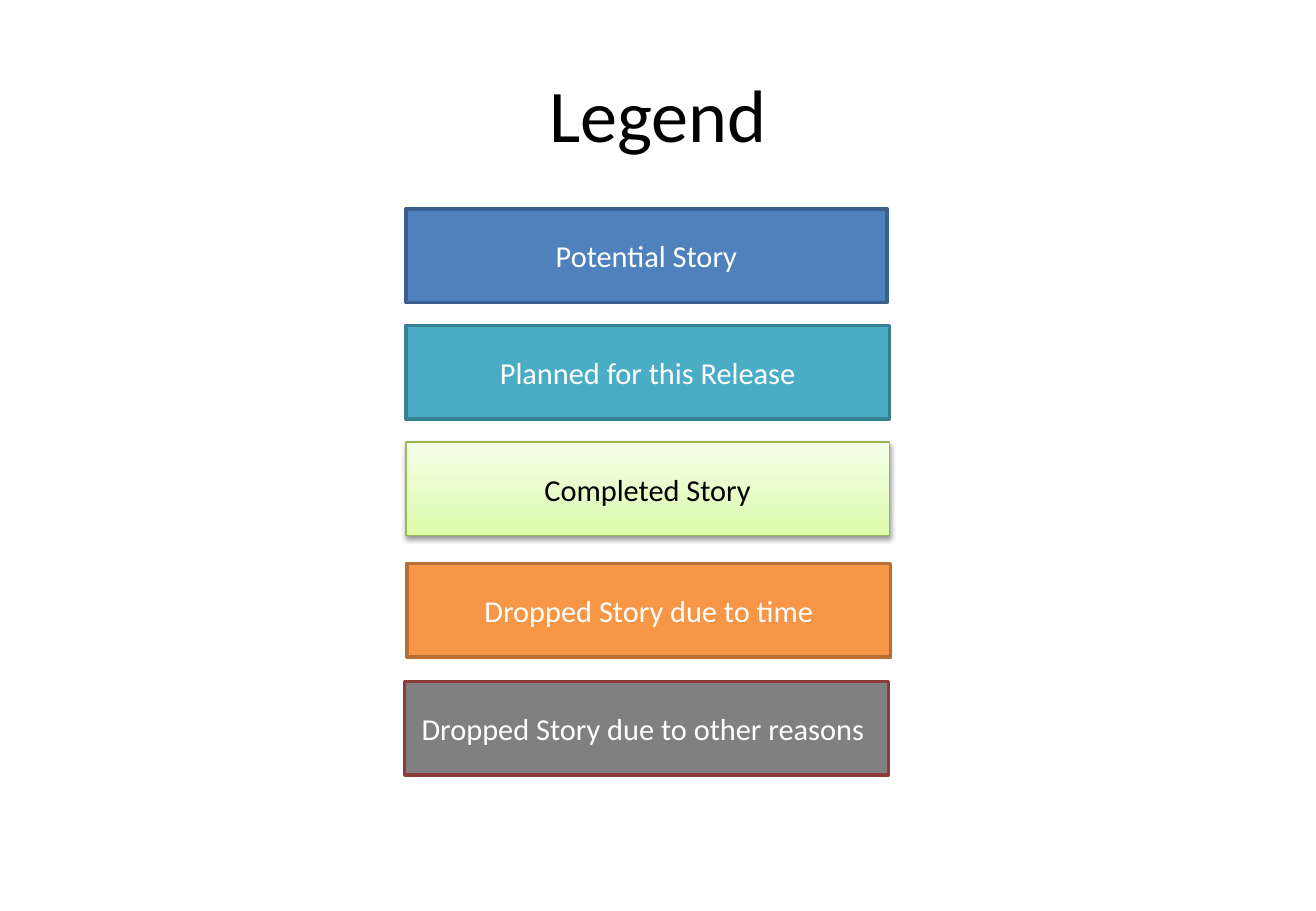
from copy import deepcopy

from lxml import etree
from pptx import Presentation
from pptx.dml.color import RGBColor
from pptx.enum.shapes import MSO_SHAPE
from pptx.enum.text import MSO_ANCHOR, PP_ALIGN
from pptx.oxml.ns import qn
from pptx.util import Inches, Pt

RECTANGLE = MSO_SHAPE.RECTANGLE
MIDDLE = MSO_ANCHOR.MIDDLE
CENTER = PP_ALIGN.CENTER

THEME = {
    "font": "Calibri",
    "title_size": 44,
    "story_size": 18,
    "dark": "000000",
    "light": "FFFFFF",
    "potential": ("4F81BD", "3A5F8C"),
    "planned": ("4BACC6", "377F92"),
    "completed": ([(0, "DAFDA7"), (0.35, "E4FCC2"), (1, "F5FFE7")], "98B955"),
    "dropped_time": ("F79646", "B76F34"),
    "dropped_other": ("808080", "8E3B39"),
    "line": 2,
    "thin_line": 0.75,
}


def write_text(box, text, size, color):
    frame = box.text_frame
    frame.word_wrap = True
    frame.vertical_anchor = MIDDLE
    frame.text = text
    para = frame.paragraphs[0]
    para.alignment = CENTER
    font = para.runs[0].font
    font.name = THEME["font"]
    font.size = Pt(size)
    font.color.rgb = RGBColor.from_string(color)


def add_gradient_and_shadow(box, colors):
    box.fill.gradient()
    box.fill.gradient_angle = 90
    stop_list = box.fill.gradient_stops
    first_stop = box._element.spPr.find(".//" + qn("a:gs"))
    first_stop.addnext(deepcopy(first_stop))
    stop_list = box.fill.gradient_stops
    for stop, (position, color) in zip(stop_list, colors):
        stop.position = position
        stop.color.rgb = RGBColor.from_string(color)
    effects = box._element.spPr.find(qn("a:effectLst"))
    shadow = etree.SubElement(
        effects, qn("a:outerShdw"), blurRad=str(Pt(3.1)), dist=str(Pt(1.6)),
        dir="5400000", rotWithShape="0")
    shade = etree.SubElement(shadow, qn("a:srgbClr"), val=THEME["dark"])
    etree.SubElement(shade, qn("a:alpha"), val="38000")


deck = Presentation()
deck.slide_width = Inches(10.83)
deck.slide_height = Inches(7.5)
page = deck.slides.add_slide(deck.slide_layouts[5])

title = page.shapes.title
title.left, title.top = Inches(0.54), Inches(0.3)
title.width, title.height = Inches(9.75), Inches(1.25)
write_text(title, "Legend", THEME["title_size"], THEME["dark"])

stories = [
    ("Potential Story", "potential", 3.34, 1.72, 3.96),
    ("Planned for this Release", "planned", 3.34, 2.68, 3.98),
    ("Completed Story", "completed", 3.34, 3.64, 3.98),
    ("Dropped Story due to time", "dropped_time", 3.35, 4.64, 3.98),
    ("Dropped Story due to other reasons ", "dropped_other", 3.33, 5.61, 3.98),
]
for label, status, left, top, width in stories:
    fill, outline = THEME[status]
    completed = status == "completed"
    box = page.shapes.add_shape(
        RECTANGLE, Inches(left), Inches(top), Inches(width), Inches(0.77))
    box.shadow.inherit = False
    if completed:
        add_gradient_and_shadow(box, fill)
    else:
        box.fill.solid()
        box.fill.fore_color.rgb = RGBColor.from_string(fill)
    box.line.color.rgb = RGBColor.from_string(outline)
    box.line.width = Pt(THEME["thin_line" if completed else "line"])
    write_text(box, label, THEME["story_size"],
               THEME["dark" if completed else "light"])

deck.save("out.pptx")
